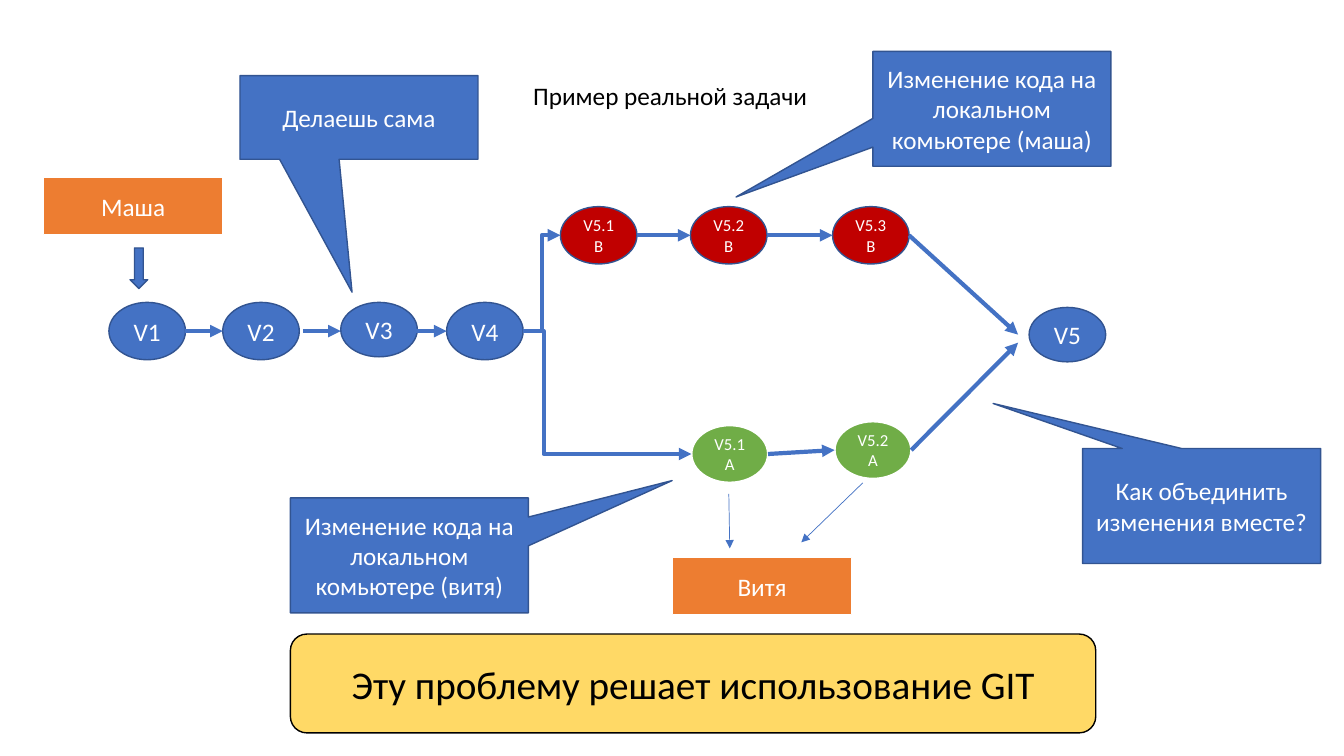
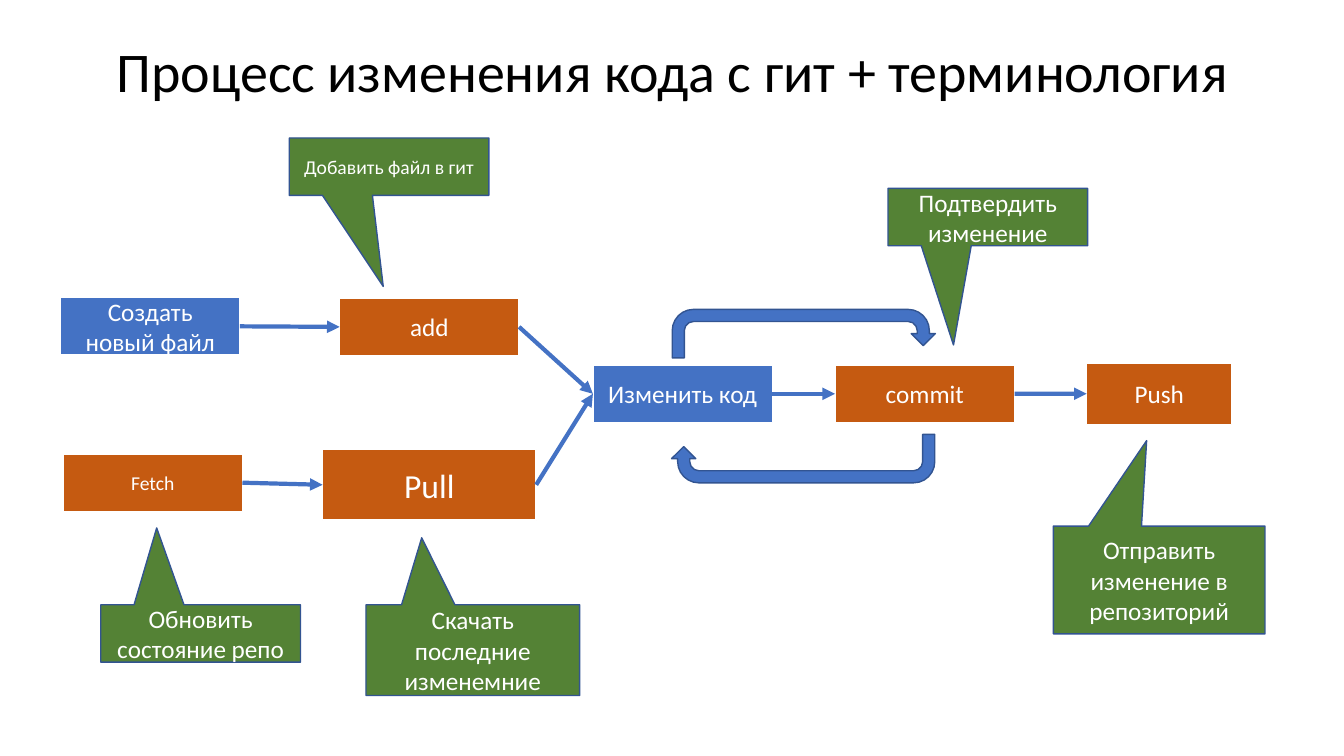
from lxml.etree import SubElement
from pptx import Presentation
from pptx.dml.color import RGBColor
from pptx.enum.shapes import MSO_CONNECTOR as CONNECTOR, MSO_SHAPE as SHAPE
from pptx.enum.text import MSO_ANCHOR as ANCHOR, MSO_AUTO_SIZE as AUTO_SIZE, PP_ALIGN as ALIGN
from pptx.oxml.ns import qn
from pptx.util import Pt

FONT = "Calibri"
COLORS = {
    "blue": "4472C4", "outline": "325491", "orange": "ED7D31", "rust": "C55A11",
    "red": "C00000", "green": "70AD47", "forest": "548235", "yellow": "FFD966",
    "white": "FFFFFF", "black": "000000",
}

BOX_SIZE = (128.2, 41)
NODE_WIDTH, NODE_HEIGHT, LOW_NODE_HEIGHT = 54.7, 41, 38.9
MAIN_ROW, BRANCH_B_ROW = 216, 147.6
STEP_ARROW = 27

BRANCH_TITLE = ("Пример реальной задачи", (373.7, 54, 212.4, 28.8), 18, ALIGN.LEFT)
PEOPLE = [("Маша", 31, 126.7), ("Витя", 480.2, 398.2)]
VERSIONS = [
    ("V1", "blue", 77.8, MAIN_ROW, NODE_HEIGHT),
    ("V2", "blue", 159.1, MAIN_ROW, NODE_HEIGHT),
    ("V3", "blue", 243.4, MAIN_ROW, LOW_NODE_HEIGHT),
    ("V4", "blue", 319, MAIN_ROW, NODE_HEIGHT),
    ("V5.1 B", "red", 400.3, BRANCH_B_ROW, NODE_HEIGHT),
    ("V5.2 B", "red", 493.2, BRANCH_B_ROW, NODE_HEIGHT),
    ("V5.3 B", "red", 594.7, BRANCH_B_ROW, NODE_HEIGHT),
    ("V5.1 A", "green", 493.9, 303.8, NODE_HEIGHT),
    ("V5.2 A", "green", 596.2, 301, NODE_HEIGHT),
    ("V5", "blue", 735.1, 219.6, LOW_NODE_HEIGHT),
]
MAIN_STEPS = ["V2", "V3", "V4"]
BRANCH_STEPS = [("V5.1 B", "V5.2 B"), ("V5.2 B", "V5.3 B"), ("V5.1 A", "V5.2 A")]
FORKS = [("V4", "V5.1 B", 0.5), ("V4", "V5.1 A", 0.122)]
MERGES = [("V5.3 B", (727.2, 239)), ("V5.2 A", (727.2, 244.8))]
OWNER_ARROWS = [((520.6, 352.8), (521.3, 391.7)), ((616.3, 344.9), (572.4, 387.4))]
BRANCH_CALLOUTS = [
    ("Делаешь сама", (171.4, 54, 170, 59.8), (-0.029, 2.087), 18),
    ("Изменение кода на локальном комьютере (маша)", (623.5, 36.7, 170, 82.1), (-1.075, 0.767), 18),
    ("Изменение кода на локальном комьютере (витя)", (207.4, 355.7, 170, 82.1), (1.104, -0.651), 18),
    ("Как объединить изменения вместе?", (773.3, 320.4, 170, 82.1), (-0.876, -0.892), 18),
]
CONCLUSION = ("Эту проблему решает использование GIT", (207.4, 452.9, 575.3, 70.6), 28)

PROCESS_TITLE = ("Процесс изменения кода с гит + терминология", (72, 22.3, 816.5, 55.4), 40, ALIGN.CENTER)
STEPS = [
    ("Создать новый файл", "blue", (43.2, 212.6, *BOX_SIZE), 18),
    ("Fetch", "rust", (45, 324.3, *BOX_SIZE), 14),
    ("Изменить код", "blue", (423.5, 260.8, *BOX_SIZE), 18),
    ("Push", "rust", (776.2, 259.4, 103.7, 43.7), 18),
    ("add", "rust", (242.6, 213, *BOX_SIZE), 18),
    ("Pull", "rust", (230.4, 321.1, 152.6, 50.4), 24),
    ("commit", "rust", (596.5, 260.8, *BOX_SIZE), 18),
]
STEP_LINKS = [
    ("Создать новый файл", "add"), ("Изменить код", "commit"), ("Fetch", "Pull"),
    ("add", "Изменить код"), ("Pull", "Изменить код"), ("commit", "Push"),
]
LOOPS = [((480.2, 221, 188, 34.6), 0), ((479.7, 310.3, 188, 34.6), 180)]
PROCESS_CALLOUTS = [
    ("Добавить файл в гит", (206.6, 98.6, 142.6, 41), (-0.029, 2.087), 14),
    ("Подтвердить изменение", (634.3, 134.6, 142.6, 41), (-0.172, 2.229), 18),
    ("Отправить изменение в репозиторий", (752.4, 375.8, 151.2, 77), (-0.059, -1.293), 18),
    ("Обновить состояние репо", (72, 432, 142.6, 41), (-0.22, -1.839), 18),
    ("Скачать последние изменемние", (261.4, 432, 152.6, 64.8), (-0.239, -1.238), 18),
]


def color(name):
    return RGBColor.from_string(COLORS[name])


def write(shape, text, size, font_color):
    run = shape.text_frame.paragraphs[0].add_run()
    run.text = text
    run.font.name = FONT
    run.font.size = Pt(size)
    run.font.color.rgb = color(font_color)


def add_titled_slide(presentation, title):
    text, box, size, alignment = title
    slide = presentation.slides.add_slide(presentation.slide_layouts[5])
    shape = slide.shapes.title
    shape.left, shape.top, shape.width, shape.height = map(Pt, box)
    frame = shape.text_frame
    frame.auto_size = AUTO_SIZE.NONE
    frame.word_wrap = False
    frame.vertical_anchor = ANCHOR.TOP
    frame.paragraphs[0].alignment = alignment
    write(shape, text, size, "black")
    return slide


def add_figure(slide, kind, box, fill, line, text="", size=18, font_color="white", line_width=1):
    shape = slide.shapes.add_shape(kind, *map(Pt, box))
    shape.shadow.inherit = False
    shape.fill.solid()
    shape.fill.fore_color.rgb = color(fill)
    shape.line.color.rgb = color(line)
    shape.line.width = Pt(line_width)
    if text:
        write(shape, text, size, font_color)
    return shape


def add_callouts(slide, callouts, fill):
    for text, box, tip, size in callouts:
        shape = add_figure(slide, SHAPE.RECTANGULAR_CALLOUT, box, fill, "outline", text, size)
        shape.adjustments[0], shape.adjustments[1] = tip


def add_arrow(slide, start, end, width=3, kind=CONNECTOR.STRAIGHT):
    arrow = slide.shapes.add_connector(kind, *map(Pt, (*start, *end)))
    arrow.line.color.rgb = color("blue")
    arrow.line.width = Pt(width)
    properties = arrow._element.spPr
    SubElement(properties.find(qn("a:ln")), qn("a:tailEnd"), type="triangle")
    SubElement(properties, qn("a:effectLst"))
    return arrow


def set_bend(arrow, share):
    geometry = arrow._element.spPr.find(qn("a:prstGeom"))
    guides = geometry.find(qn("a:avLst"))
    if guides is None:
        guides = SubElement(geometry, qn("a:avLst"))
    SubElement(guides, qn("a:gd"), name="adj1", fmla=f"val {round(share * 100000)}")


def build_branches(presentation):
    slide = add_titled_slide(presentation, BRANCH_TITLE)
    for name, left, top in PEOPLE:
        add_figure(slide, SHAPE.RECTANGLE, (left, top, *BOX_SIZE), "orange", "white", name)

    left_end, right_end = {}, {}
    for name, fill, left, top, height in VERSIONS:
        line, line_width = ("white", 1.5) if fill == "green" else ("outline", 1)
        add_figure(slide, SHAPE.OVAL, (left, top, NODE_WIDTH, height), fill, line, name,
                   18 if fill == "blue" else 12, line_width=line_width)
        left_end[name] = (left, top + height / 2)
        right_end[name] = (left + NODE_WIDTH, top + height / 2)

    main_level = MAIN_ROW + NODE_HEIGHT / 2
    for name in MAIN_STEPS:
        tip = left_end[name][0]
        add_arrow(slide, (tip - STEP_ARROW, main_level), (tip, main_level))
    for source, target in BRANCH_STEPS:
        add_arrow(slide, right_end[source], left_end[target])
    for source, target, bend in FORKS:
        arrow = add_arrow(slide, right_end[source], left_end[target], kind=CONNECTOR.ELBOW)
        set_bend(arrow, bend)
    add_figure(slide, SHAPE.DOWN_ARROW, (92.9, 177.1, 12.6, 29), "blue", "outline")
    for start, end in OWNER_ARROWS:
        add_arrow(slide, start, end, 0.5)
    for source, end in MERGES:
        add_arrow(slide, right_end[source], end)

    add_callouts(slide, BRANCH_CALLOUTS, "blue")
    text, box, size = CONCLUSION
    add_figure(slide, SHAPE.ROUNDED_RECTANGLE, box, "yellow", "black", text, size, "black")


def build_process(presentation):
    slide = add_titled_slide(presentation, PROCESS_TITLE)
    steps = {
        text: add_figure(slide, SHAPE.RECTANGLE, box, fill, "white", text, size)
        for text, fill, box, size in STEPS
    }
    for source, target in STEP_LINKS:
        arrow = add_arrow(slide, (0, 0), (0, 0))
        arrow.begin_connect(steps[source], 3)
        arrow.end_connect(steps[target], 1)
    for box, rotation in LOOPS:
        add_figure(slide, SHAPE.U_TURN_ARROW, box, "blue", "outline").rotation = rotation
    add_callouts(slide, PROCESS_CALLOUTS, "forest")


def main():
    presentation = Presentation()
    presentation.slide_width, presentation.slide_height = Pt(960), Pt(540)
    build_branches(presentation)
    build_process(presentation)
    presentation.save("out.pptx")


if __name__ == "__main__":
    main()
